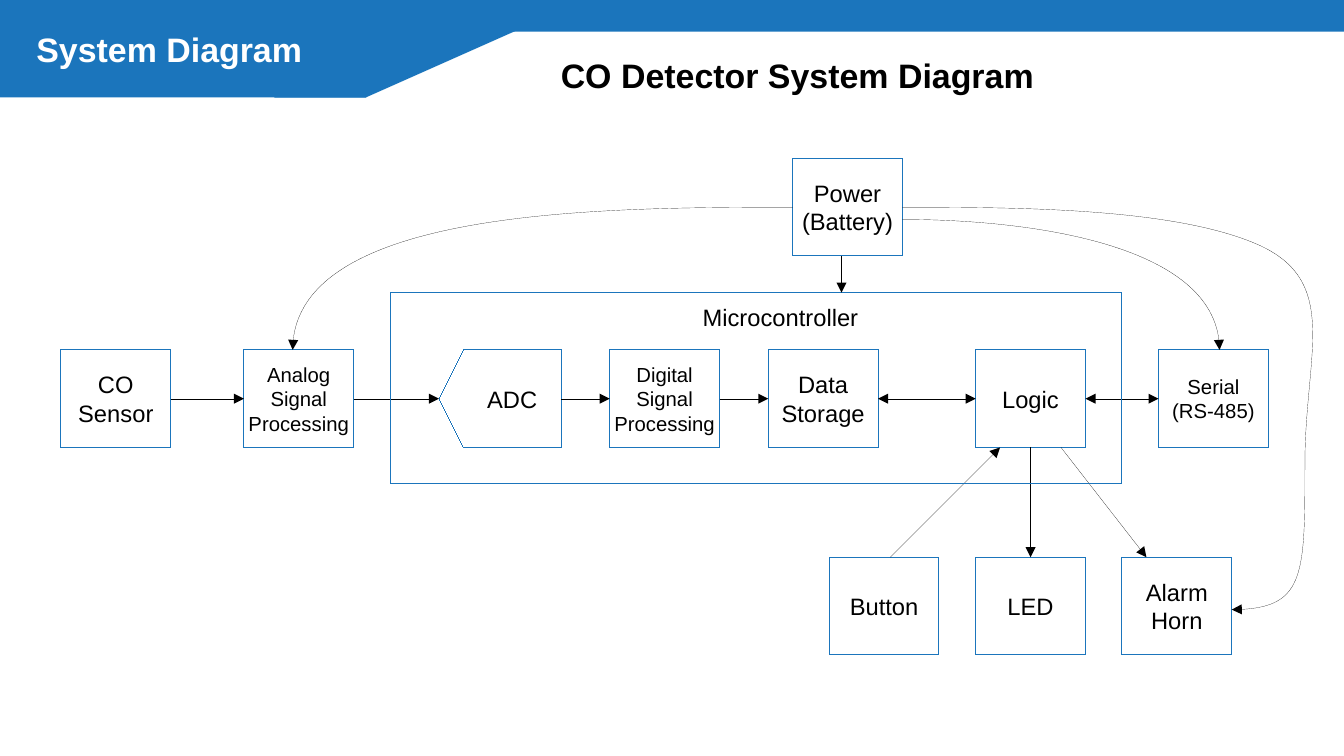
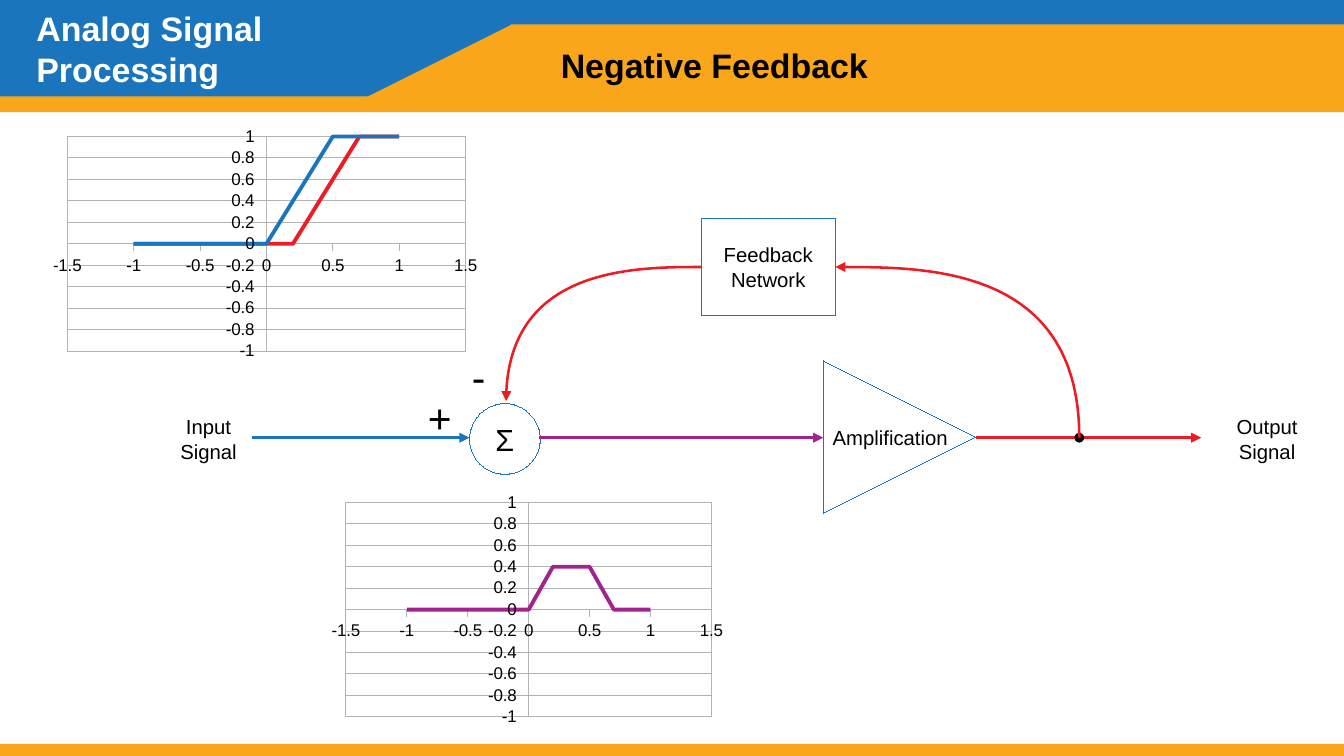
from dataclasses import dataclass

from lxml import etree
from pptx import Presentation
from pptx.chart.data import XyChartData
from pptx.dml.color import RGBColor
from pptx.enum.chart import XL_CHART_TYPE, XL_TICK_MARK
from pptx.enum.shapes import MSO_CONNECTOR, MSO_SHAPE
from pptx.enum.text import MSO_ANCHOR, PP_ALIGN
from pptx.oxml import parse_xml
from pptx.oxml.ns import nsdecls, qn
from pptx.util import Inches, Pt

RECT = MSO_SHAPE.RECTANGLE
RIGHT_TRIANGLE = MSO_SHAPE.RIGHT_TRIANGLE
PARALLELOGRAM = MSO_SHAPE.PARALLELOGRAM
OFFPAGE = MSO_SHAPE.FLOWCHART_OFFPAGE_CONNECTOR
TRIANGLE = MSO_SHAPE.ISOSCELES_TRIANGLE
OVAL = MSO_SHAPE.OVAL
STRAIGHT = MSO_CONNECTOR.STRAIGHT
CENTER, LEFT = PP_ALIGN.CENTER, PP_ALIGN.LEFT
MIDDLE, TOP = MSO_ANCHOR.MIDDLE, MSO_ANCHOR.TOP
SCATTER_LINES = XL_CHART_TYPE.XY_SCATTER_LINES_NO_MARKERS
TICK_OUT = XL_TICK_MARK.OUTSIDE

# Connection sites of a rectangle
SITE_TOP, SITE_LEFT, SITE_BOTTOM, SITE_RIGHT = range(4)


@dataclass(frozen=True)
class Theme:
    font: str = "Arial"
    blue: str = "1B75BC"
    orange: str = "FAA61A"
    red: str = "ED1C24"
    purple: str = "A3238E"
    black: str = "000000"
    white: str = "FFFFFF"
    grid: str = "B3B3B3"
    title: int = 20
    sign: int = 24
    symbol: int = 18
    label: int = 14
    small: int = 12
    axis: int = 10
    hairline: float = 0
    signal: float = 1.5
    curve: float = 2.27


@dataclass(frozen=True)
class Box:
    left: float
    top: float
    width: float
    height: float

    def inner(self, x, y, width, height):
        return Box(self.left + x, self.top + y, width, height)

    def point(self, x, y):
        return self.left + x, self.top + y

    def emu(self):
        return [Inches(v) for v in (self.left, self.top, self.width, self.height)]


THEME = Theme()
PAGE = Box(0, 0, 11.02, 6.2)
NODE_W, NODE_H = 0.9, 0.8


# ---- Shared drawing helpers ----
def rgb(value):
    return RGBColor.from_string(value)


def apply(target, values):
    for name, value in values.items():
        setattr(target, name, value)


def set_font(font, size, color=THEME.black, bold=False):
    apply(font, {"name": THEME.font, "size": Pt(size), "bold": bold})
    font.color.rgb = rgb(color)


def set_line(line, color, width):
    line.color.rgb = rgb(color)
    # A zero width has to be written out, or the style's own width applies
    line._get_or_add_ln().set("w", str(Pt(width)))


def write(shape, text, size, color=THEME.black, bold=False, align=CENTER,
          anchor=MIDDLE, wrap=False):
    frame = shape.text_frame
    side = Inches(0.1 if wrap else 0)
    apply(frame, {"word_wrap": wrap, "vertical_anchor": anchor, "text": text,
                  "margin_left": side, "margin_right": side})
    for paragraph in frame.paragraphs:
        paragraph.alignment = align
        set_font(paragraph.font, size, color, bold)


def add_text(slide, box, text, size, **style):
    write(slide.shapes.add_textbox(*box.emu()), text, size, **style)


def add_shape(slide, kind, box, fill=None, outline=None, rotation=0, flip=None):
    shape = slide.shapes.add_shape(kind, *box.emu())
    shape.rotation = rotation
    shape.shadow.inherit = False
    if fill:
        shape.fill.solid()
        shape.fill.fore_color.rgb = rgb(fill)
    else:
        shape.fill.background()
    if outline:
        set_line(shape.line, outline, THEME.hairline)
    else:
        shape.line.fill.background()
    if flip:
        shape._element.spPr.get_or_add_xfrm().set(flip, "1")
    return shape


def add_node(slide, box, text, size=THEME.label, kind=RECT):
    node = add_shape(slide, kind, box, outline=THEME.blue)
    write(node, text, size)
    return node


def add_arrowheads(shape, ends):
    ln = shape.line._get_or_add_ln()
    for end in ends:
        etree.SubElement(ln, qn("a:" + end)).set("type", "triangle")


def add_arrow(slide, start, end, color=THEME.black, width=THEME.hairline,
              ends=("tailEnd",)):
    arrow = slide.shapes.add_connector(STRAIGHT, *map(Inches, start + end))
    set_line(arrow.line, color, width)
    add_arrowheads(arrow, ends)
    etree.SubElement(arrow._element.spPr, qn("a:effectLst"))
    return arrow


def add_curve(slide, points, color=THEME.black, width=THEME.hairline,
              ends=("tailEnd",)):
    """Draw a Bezier outline: a start, then three points for each segment."""
    start, *rest = [(Inches(x), Inches(y)) for x, y in points]
    builder = slide.shapes.build_freeform(*start)
    builder.add_line_segments(rest, close=False)
    curve = builder.convert_to_shape()
    outline = curve._element.spPr.find(".//" + qn("a:path"))
    steps = outline.findall(qn("a:lnTo"))
    for i in range(0, len(steps), 3):
        bezier = etree.SubElement(outline, qn("a:cubicBezTo"))
        for step in steps[i:i + 3]:
            bezier.append(step[0])
            outline.remove(step)
    curve.shadow.inherit = False
    curve.fill.background()
    set_line(curve.line, color, width)
    add_arrowheads(curve, ends)


def add_header(slide, box, title):
    parts = (
        (RECT, (0, 0, 3, 0.8), None),
        (RIGHT_TRIANGLE, (3, 0, 1.8, 0.8), "flipV"),
        (RECT, (4.1, 0, box.width - 4.1, 0.26), None),
        (PARALLELOGRAM, (2.25, 0, 1, 0.8), None),
    )
    for kind, place, flip in parts:
        part = add_shape(slide, kind, box.inner(*place), THEME.blue, flip=flip)
        if kind == PARALLELOGRAM:
            part.adjustments[0] = 0.31
    add_text(slide, box.inner(0.2, 0, 3.4, 0.8), title, THEME.title,
             color=THEME.white, bold=True, align=LEFT, wrap=True)


def add_subtitle(slide, box, text):
    add_text(slide, box, text, THEME.title, bold=True, align=LEFT, wrap=True)


# ---- System diagram ----
def add_signal_chain(slide, box):
    """Row of processing steps; returns the logic node."""
    small, label = THEME.small, THEME.label
    steps = (
        ("CO\nSensor", 0, label), ("Analog\nSignal\nProcessing", 1.5, small),
        ("ADC", 3.1, label), ("Digital\nSignal\nProcessing", 4.5, small),
        ("Data\nStorage", 5.8, label), ("Logic", 7.5, label),
        ("Serial\n(RS-485)", 9, small),
    )
    nodes, spans = {}, []
    for text, x, size in steps:
        if text == "ADC":
            add_shape(slide, OFFPAGE, box.inner(x + 0.1, -0.1, 0.8, 1),
                      outline=THEME.blue, rotation=90)
            add_text(slide, box.inner(x + 0.3, 0, 0.6, NODE_H), text, size)
            spans.append((text, x, x + 1))
        else:
            nodes[text] = add_node(slide, box.inner(x, 0, NODE_W, NODE_H), text, size)
            spans.append((text, x, x + NODE_W))
    for (source, _, right), (target, left, _) in zip(spans, spans[1:]):
        two_way = "Logic" in (source, target)
        arrow = add_arrow(slide, box.point(right, NODE_H / 2),
                          box.point(left, NODE_H / 2),
                          ends=("headEnd", "tailEnd") if two_way else ("tailEnd",))
        if source in nodes:
            arrow.begin_connect(nodes[source], SITE_RIGHT)
        if target in nodes:
            arrow.end_connect(nodes[target], SITE_LEFT)
    return nodes["Logic"]


def add_peripherals(slide, box, logic):
    """Input and outputs below the logic node, spaced evenly."""
    nodes = []
    pitch = (box.width - NODE_W) / 2
    for i, text in enumerate(("Button", "LED", "Alarm\nHorn")):
        nodes.append(add_node(slide, box.inner(i * pitch, 0, NODE_W, NODE_H), text))
    add_arrow(slide, box.point(0.5, 0), box.point(1.4, -0.9))
    led_arrow = add_arrow(slide, box.point(1.65, -0.9), box.point(1.65, 0))
    led_arrow.begin_connect(logic, SITE_BOTTOM)
    led_arrow.end_connect(nodes[1], SITE_TOP)
    add_arrow(slide, box.point(1.9, -0.9), box.point(2.6, 0))


def add_power(slide, box):
    """Battery node and its supply lines."""
    add_node(slide, box, "Power\n(Battery)")
    add_arrow(slide, box.point(0.4, 0.8), box.point(0.4, 1.1))
    supplies = (
        ((0.9, 0.4), (1.8, 0.4), (3.1, 0.4), (3.8, 0.7), (4.5, 1), (4.2, 1.6),
         (4.2, 2.5), (4.2, 3.4), (4.2, 3.7), (3.6, 3.7)),
        ((0.9, 0.5), (1.9, 0.5), (3.5, 0.7), (3.5, 1.57)),
        ((0, 0.4), (-1.5, 0.4), (-4.1, 0.4), (-4.1, 1.57)),
    )
    for supply in supplies:
        add_curve(slide, [box.point(*p) for p in supply])


def add_microcontroller(slide, box):
    add_shape(slide, RECT, box, outline=THEME.blue)
    add_text(slide, box.inner(2.4, 0, 1.6, 0.4), "Microcontroller", THEME.label)


def build_system_slide(slide, page):
    add_header(slide, page, "System Diagram")
    add_subtitle(slide, page.inner(4.5, 0.3, 5.6, 0.63), "CO Detector System Diagram")
    logic = add_signal_chain(slide, page.inner(0.5, 2.87, 9.9, NODE_H))
    add_peripherals(slide, page.inner(6.8, 4.57, 3.3, NODE_H), logic)
    add_microcontroller(slide, page.inner(3.2, 2.4, 6, 1.57))
    add_power(slide, page.inner(6.5, 1.3, NODE_W, NODE_H))


# ---- Negative feedback ----
def add_orange_bands(slide, page):
    add_shape(slide, RIGHT_TRIANGLE, page.inner(3, 0.2, 1.2, 0.6), THEME.orange,
              flip="flipH")
    for place in ((4.19, 0.2, page.width - 4.19, 0.6), (0, 0.79, page.width, 0.13),
                  (0, 6.1, page.width, 0.1)):
        add_shape(slide, RECT, page.inner(*place), THEME.orange)


def add_feedback_loop(slide, box):
    """Forward signal line with the return path above it."""
    axis, small = 1.8, THEME.small
    for text, x in (("Input\nSignal", 0), ("Output\nSignal", 8.68)):
        add_text(slide, box.inner(x, axis - 0.24, 0.72, 0.5), text, small)
    add_node(slide, box.inner(4.4, 0, 1.1, 0.8), "Feedback\nNetwork", small)
    add_node(slide, box.inner(2.5, axis - 0.28, 0.58, 0.58), "Σ", THEME.symbol, OVAL)
    add_shape(slide, TRIANGLE, box.inner(5.4, axis - 0.63, 1.25, 1.25),
              outline=THEME.blue, rotation=90)
    add_text(slide, box.inner(5.4, axis - 0.4, 1.1, 0.8), "Amplification", small)
    for sign, x, y in (("-", 2.42, 1.05), ("+", 2.06, 1.38)):
        add_text(slide, box.inner(x, y, 0.5, 0.47), sign, THEME.sign,
                 align=LEFT, anchor=TOP, wrap=True)
    # Forward path
    for start, end, color in ((0.72, 2.5, THEME.blue), (3.07, 5.4, THEME.purple),
                              (6.65, 8.5, THEME.red)):
        add_arrow(slide, box.point(start, axis), box.point(end, axis), color,
                  THEME.signal)
    add_shape(slide, OVAL, box.inner(7.46, axis - 0.04, 0.08, 0.08), THEME.black)
    # Return path
    returns = (
        (((4.4, 0.4), (3.86, 0.4), (2.8, 0.4), (2.8, 1.5)), "tailEnd"),
        (((5.5, 0.4), (6.16, 0.4), (7.5, 0.4), (7.5, axis)), "headEnd"),
    )
    for points, end in returns:
        add_curve(slide, [box.point(*p) for p in points], THEME.red, THEME.signal, (end,))


def ramp(start, end):
    """Values at -1, -0.9 ... 1 that rise from 0 to 1 between two tenths."""
    return [round(min(max((i - start) / (end - start), 0), 1), 1)
            for i in range(-10, 11)]


def add_response_chart(slide, box, curves):
    data = XyChartData()
    for number, (values, _) in enumerate(curves, 1):
        series = data.add_series(f"Series {number}")
        for i, value in enumerate(values):
            series.add_data_point((i - 10) / 10, value)
    chart = slide.shapes.add_chart(SCATTER_LINES, *box.emu(), data).chart
    apply(chart, {"has_legend": False, "has_title": False})
    set_font(chart.font, THEME.axis)
    plot = chart.plots[0]
    plot.vary_by_categories = False
    for series, (_, color) in zip(plot.series, curves):
        series.smooth = False
        set_line(series.format.line, color, THEME.curve)
    # Axes
    for axis, limit, step, grid in ((chart.category_axis, 1.5, 0.5, False),
                                    (chart.value_axis, 1, 0.2, True)):
        apply(axis, {"minimum_scale": -limit, "maximum_scale": limit,
                     "major_unit": step, "has_major_gridlines": grid,
                     "major_tick_mark": TICK_OUT})
        apply(axis.tick_labels, {"number_format": "General",
                                 "number_format_is_linked": False})
        set_font(axis.tick_labels.font, THEME.axis)
        set_line(axis.format.line, THEME.grid, THEME.hairline)
    set_line(chart.value_axis.major_gridlines.format.line, THEME.grid, THEME.hairline)
    # Plot position, plot border and chart background
    area = chart._chartSpace.find(".//" + qn("c:plotArea"))
    for old in area.findall(qn("c:layout")):
        area.remove(old)
    places = "".join(f'<c:{k} val="{v}"/>' for k, v in (
        ("layoutTarget", "inner"), ("xMode", "edge"), ("yMode", "edge"),
        ("x", 0.05), ("y", 0.06), ("w", 0.9), ("h", 0.88)))
    area.insert(0, parse_xml(f'<c:layout {nsdecls("c")}><c:manualLayout>{places}'
                             '</c:manualLayout></c:layout>'))
    solid = '<a:solidFill><a:srgbClr val="{}"/></a:solidFill>'
    frame = f'<c:spPr {nsdecls("c", "a")}>' + "{}<a:ln{}</a:ln></c:spPr>"
    area.append(parse_xml(frame.format(
        "<a:noFill/>", ' w="0">' + solid.format(THEME.grid))))
    area.getparent().addnext(parse_xml(frame.format(
        solid.format(THEME.white), "><a:noFill/>")))


def build_feedback_slide(slide, page):
    add_header(slide, page, "Analog Signal Processing")
    add_orange_bands(slide, page)
    add_subtitle(slide, page.inner(4.5, 0.22, 5.6, 0.63), "Negative Feedback")
    source, delayed = ramp(0, 5), ramp(2, 7)
    difference = [round(a - b, 1) for a, b in zip(source, delayed)]
    add_response_chart(slide, page.inner(0.37, 1, 3.63, 2),
                       ((source, THEME.blue), (delayed, THEME.red)))
    add_response_chart(slide, page.inner(2.67, 4, 3.33, 2),
                       ((difference, THEME.purple),))
    add_feedback_loop(slide, page.inner(1.35, 1.79, 9.4, 2.42))


def main():
    deck = Presentation()
    apply(deck, {"slide_width": Inches(PAGE.width), "slide_height": Inches(PAGE.height)})
    blank = deck.slide_layouts[6]
    for build in (build_system_slide, build_feedback_slide):
        build(deck.slides.add_slide(blank), PAGE)
    deck.save("out.pptx")


if __name__ == "__main__":
    main()
